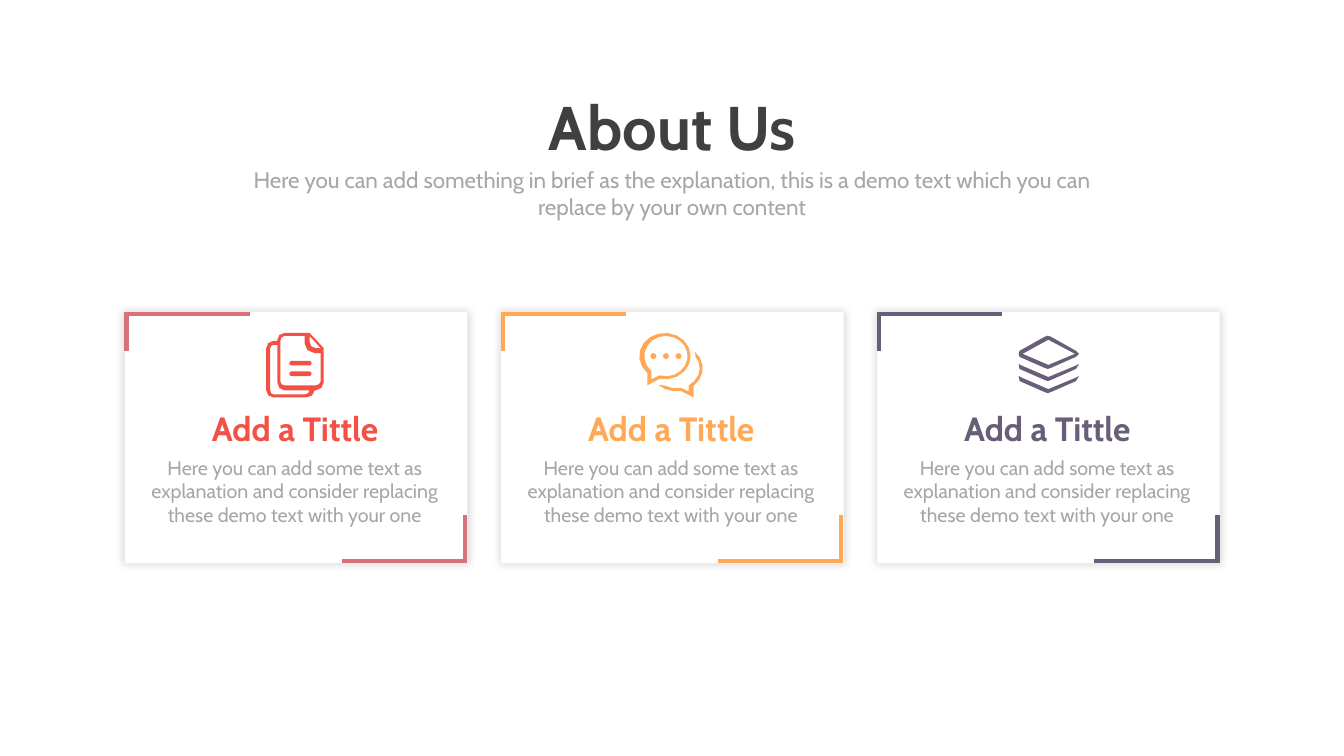
from dataclasses import dataclass
from math import cos, radians, sin

from lxml import etree
from pptx import Presentation
from pptx.dml.color import RGBColor
from pptx.enum.shapes import MSO_CONNECTOR, MSO_SHAPE
from pptx.enum.text import MSO_ANCHOR, MSO_AUTO_SIZE, PP_ALIGN
from pptx.oxml import parse_xml
from pptx.oxml.ns import nsdecls, qn
from pptx.util import Cm, Pt


@dataclass(frozen=True)
class Theme:
    font: str = "Cabin"
    dark: str = "404040"
    grey: str = "A6A6A6"
    white: str = "FFFFFF"
    rose: str = "D8717B"
    red: str = "F25245"
    orange: str = "FFA956"
    plum: str = "695E78"
    title: int = 44
    subtitle: int = 16
    heading: int = 24
    body: int = 14
    line: int = 3


def arc(cx, cy, rx, ry, start, end):
    steps = max(2, round(abs(end - start) / (20 if rx > 10 else 45)))
    angles = [radians(start + (end - start) * i / steps) for i in range(steps + 1)]
    return [(cx + rx * cos(a), cy + ry * sin(a)) for a in angles]


def write(sp, text, size, color, bold=False):
    tf = sp.text_frame
    tf.text = text
    tf.word_wrap = True
    tf.auto_size = MSO_AUTO_SIZE.NONE
    tf.vertical_anchor = MSO_ANCHOR.TOP
    tf.margin_left = tf.margin_right = Cm(0.2)
    for p in tf.paragraphs:
        p.alignment = PP_ALIGN.CENTER
        p.space_before = Pt(0)
        for r in p.runs:
            r.font.name = theme.font
            r.font.size = Pt(size)
            r.font.bold = bold
            r.font.color.rgb = RGBColor.from_string(color)


theme = Theme()
prs = Presentation()
prs.slide_width, prs.slide_height = Cm(33.87), Cm(19.05)
s = prs.slides.add_slide(prs.slide_layouts[0])

title, subtitle = s.placeholders
title.left, title.top, title.width, title.height = Cm(10.85), Cm(2.11), Cm(12.19), Cm(2.13)
write(title, "About Us", theme.title, theme.dark, True)
subtitle.left, subtitle.top, subtitle.width, subtitle.height = Cm(6.13), Cm(4.06), Cm(21.62), Cm(1.63)
write(
    subtitle,
    "Here you can add something in brief as the explanation, this is a demo text which you can\n"
    "replace by your own content",
    theme.subtitle,
    theme.grey,
)

documents = [
    arc(18, 7, 7, 7, 180, 270) + [(43, 0), (57, 15)] + arc(49, 49, 8, 8, 0, 90)
    + arc(40, 57, 8, 7, 0, 90) + arc(7, 57, 7, 7, 90, 180) + arc(7, 15, 7, 7, 180, 270) + [(11, 8)],
    arc(7, 15, 3, 3, 180, 270) + [(11, 12)] + arc(18, 49, 7, 8, 180, 90)
    + arc(38, 57, 5, 4, 0, 90) + arc(7, 57, 3, 4, 90, 180),
    arc(18, 8, 4, 5, 180, 270) + [(38, 3)] + arc(48, 10, 10, 10, 180, 90) + [(54, 20)]
    + arc(49, 48, 5, 4, 0, 90) + arc(18, 48, 4, 4, 90, 180),
    [(43, 3), (54, 15)] + arc(49, 9, 6, 6, 90, 180),
]
for y in (30, 40.5):
    documents.append(arc(25, y, 2, 2.3, 90, 270) + arc(43, y, 2, 2.3, -90, 90))

chat = [arc(x, 23, 3, 3, 0, 360) for x in (14, 26.5, 39)]
chat += [
    arc(25.5, 23, 25.5, 23, 133, 462) + [(8, 52)],
    arc(26.5, 23, 21.5, 20, 132, 467) + [(12, 46)],
    arc(37, 35, 26, 23, -45, 49) + [(54, 64)] + arc(37, 35, 26, 23, 80, 134)
    + arc(37, 35, 23, 20, 121, 78) + [(49, 58)] + arc(37, 35, 23, 20, 58, -35),
]

layers = [
    [(0, 18), (1, 15), (26, 1), (29, 0), (32, 1), (57, 15), (60, 18), (57, 21),
     (32, 32), (29, 33), (26, 32), (1, 21)],
    [(29.5, 4), (56, 18), (29.5, 29), (4, 18)],
]
for y in (28, 40):
    layers.append([(0, y), (1, y + 5), (26, y + 16), (29, y + 17), (32, y + 16),
                   (57, y + 5), (60, y), (56, y + 2), (29.5, y + 13), (4, y + 2)])

cards = [
    (theme.rose, theme.red, documents, 3.56, 0.53),
    (theme.orange, theme.orange, chat, 3.48, 0.53),
    (theme.plum, theme.plum, layers, 3.56, 0.6),
]
corners = [
    (0.04, 0, 0.04, 0.99),
    (-0.01, 0.05, 3.15, 0.05),
    (8.57, 6.32, 8.57, 5.12),
    (8.62, 6.27, 5.46, 6.27),
]
card_left, card_top, pitch = 3.15, 7.86, 9.48
unit = Cm(2.54) / 100

for i, (accent, color, icon, icon_x, icon_y) in enumerate(cards):
    x = card_left + i * pitch
    card = s.shapes.add_shape(MSO_SHAPE.RECTANGLE, Cm(x), Cm(card_top), Cm(8.63), Cm(6.33))
    card.fill.solid()
    card.fill.fore_color.rgb = RGBColor.from_string(theme.white)
    card.line.fill.background()
    card.shadow.inherit = False
    card._element.spPr.find(qn("a:effectLst")).append(parse_xml(
        f'<a:outerShdw {nsdecls("a")} blurRad="{Pt(6)}" dist="0" sx="101000" sy="101000" '
        f'algn="ctr" rotWithShape="0">'
        f'<a:srgbClr val="{theme.dark}"><a:alpha val="20000"/></a:srgbClr></a:outerShdw>'
    ))

    group = s.shapes.add_group_shape()
    body = group.shapes.add_textbox(Cm(x + 0.32), Cm(11.36), Cm(7.92), Cm(2.06))
    write(
        body,
        "Here you can add some text as explanation and consider replacing these demo text with your one",
        theme.body,
        theme.grey,
    )
    heading = group.shapes.add_textbox(Cm(x + 0.55), Cm(10.16), Cm(7.47), Cm(1.27))
    write(heading, "Add a Tittle", theme.heading, color, True)

    for x1, y1, x2, y2 in corners:
        edge = s.shapes.add_connector(
            MSO_CONNECTOR.STRAIGHT, Cm(x + x1), Cm(card_top + y1), Cm(x + x2), Cm(card_top + y2)
        )
        edge.line.color.rgb = RGBColor.from_string(accent)
        edge.line.width = Pt(theme.line)
        etree.SubElement(edge._element.spPr, qn("a:effectLst"))

    contours = [[(px * unit, py * unit) for px, py in contour] for contour in icon]
    builder = s.shapes.build_freeform(*contours[0][0])
    builder.add_line_segments(contours[0][1:])
    for contour in contours[1:]:
        builder.move_to(*contour[0])
        builder.add_line_segments(contour[1:])
    sp = builder.convert_to_shape(Cm(x + icon_x), Cm(card_top + icon_y))
    sp.fill.solid()
    sp.fill.fore_color.rgb = RGBColor.from_string(color)
    sp.line.fill.background()
    sp.shadow.inherit = False

prs.save("out.pptx")
